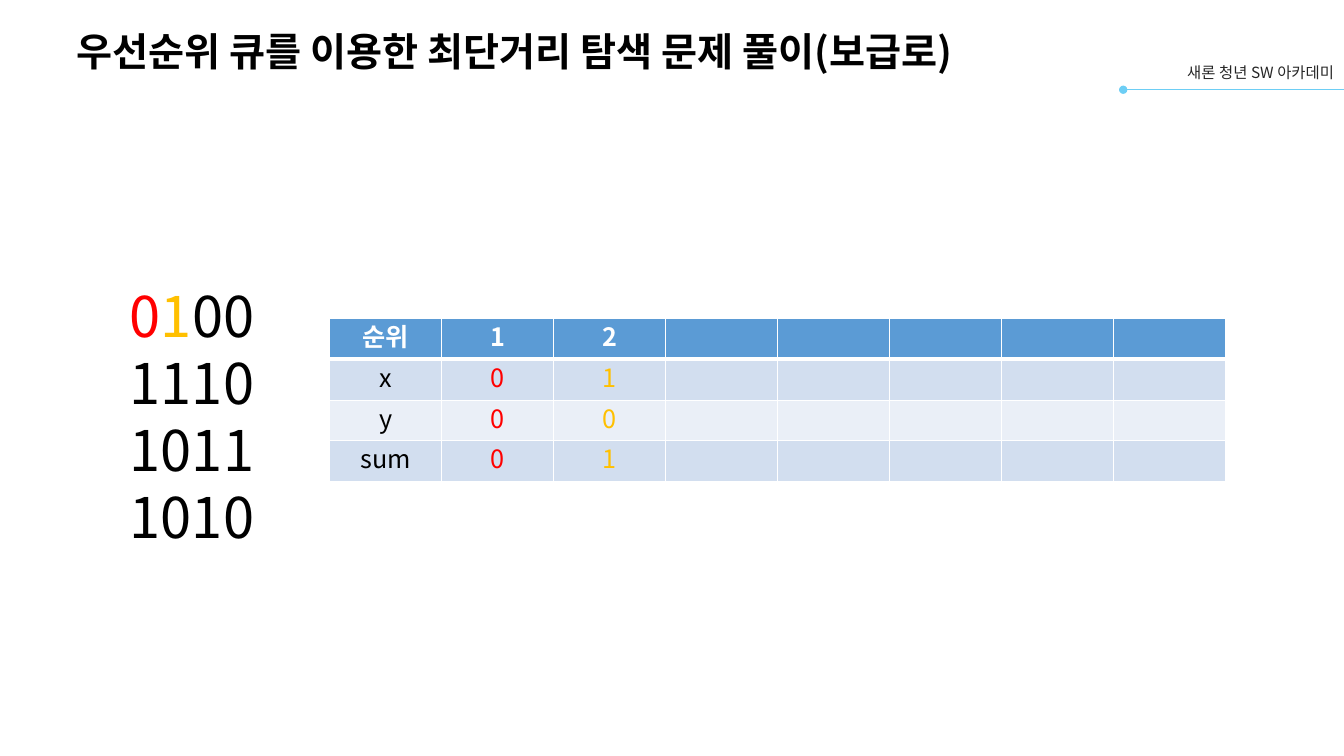
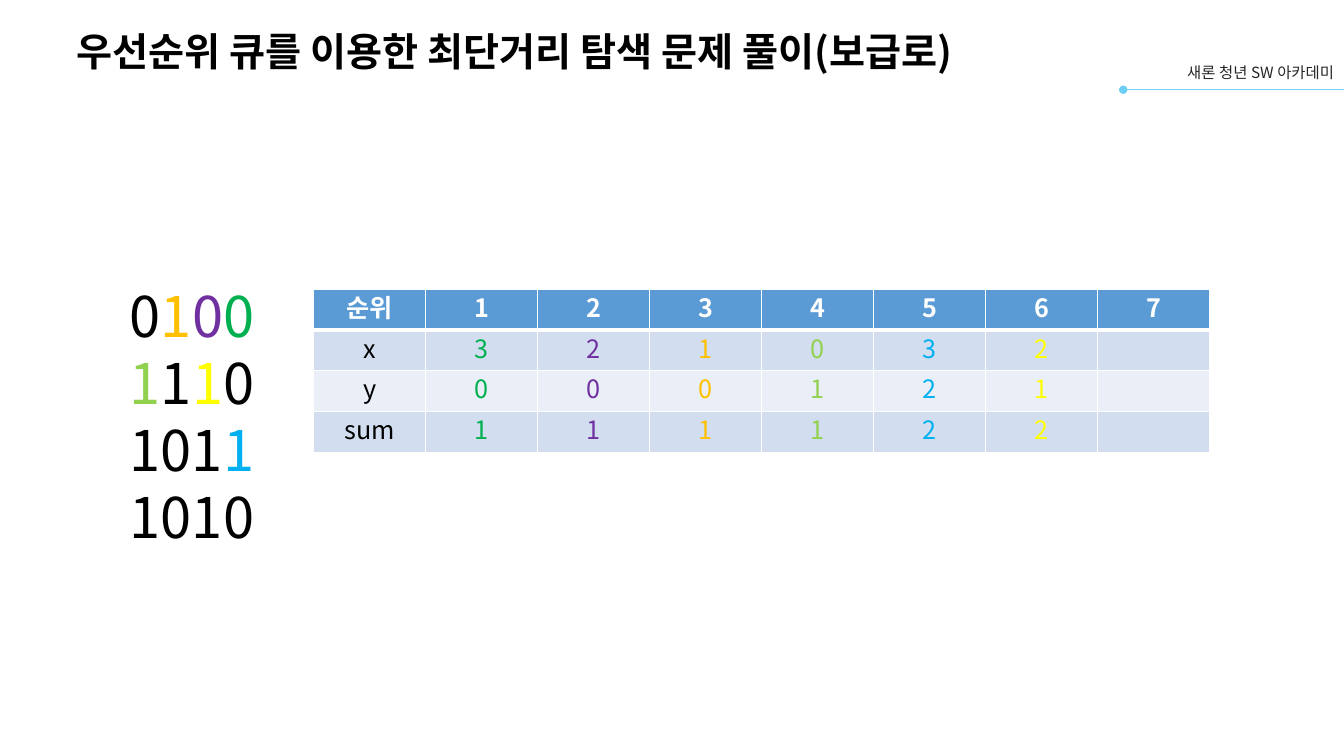
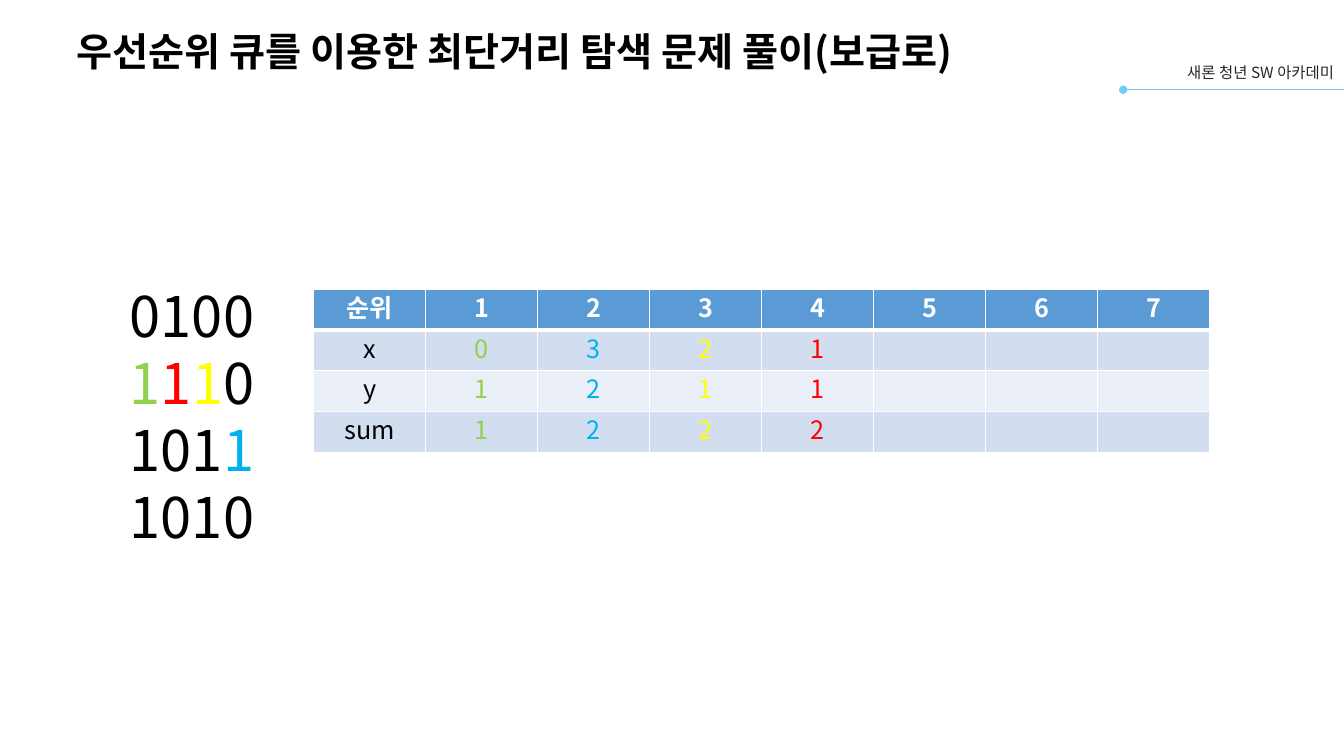
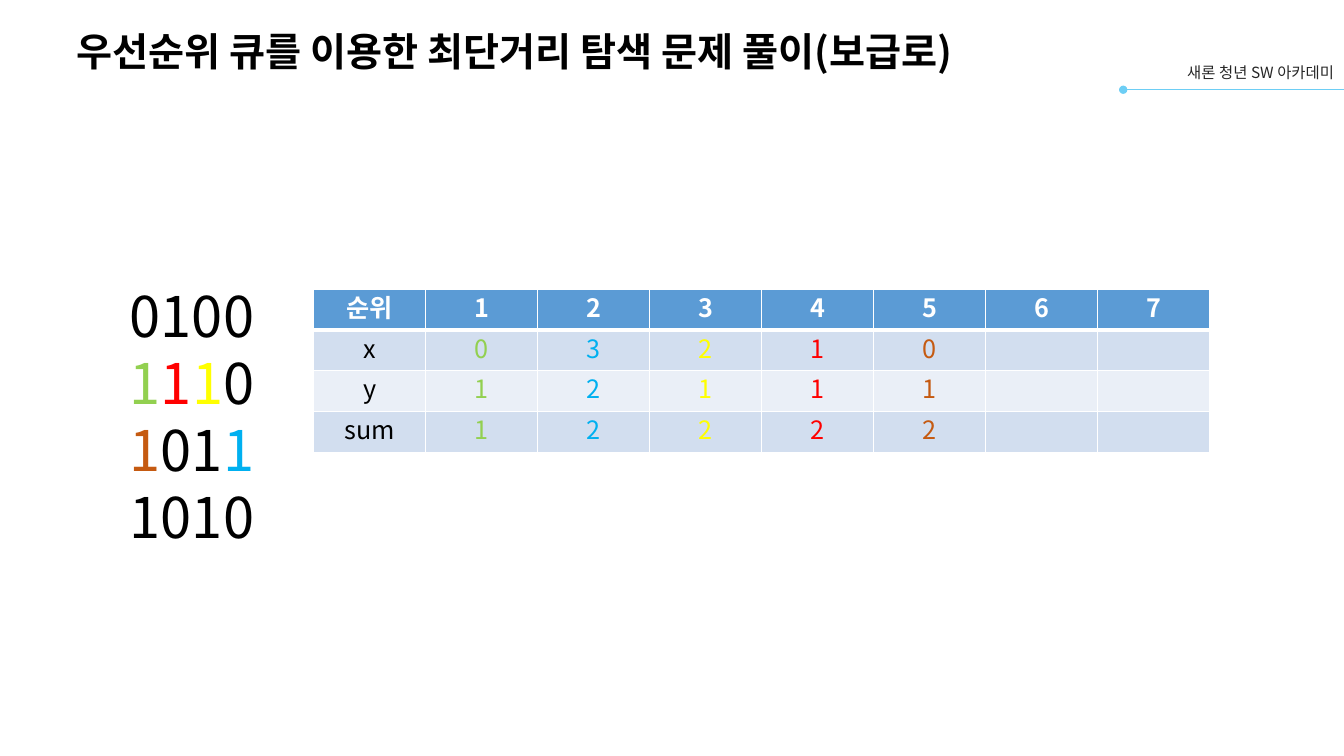
"""Build four slides that trace a priority-queue search for the shortest route."""
from dataclasses import dataclass
from itertools import groupby

from lxml.etree import SubElement
from pptx import Presentation
from pptx.dml.color import RGBColor
from pptx.enum.shapes import MSO_CONNECTOR as Connector
from pptx.enum.text import MSO_ANCHOR as Anchor, MSO_AUTO_SIZE as AutoSize, PP_ALIGN as Align
from pptx.oxml import parse_xml
from pptx.oxml.ns import nsdecls, qn
from pptx.util import Inches, Pt

WIDTH, HEIGHT = Inches(13.33), Inches(7.5)
FONT = "Noto Sans CJK KR"
TITLE = "우선순위 큐를 이용한 최단거리 탐색 문제 풀이(보급로)"
ACADEMY = "새론 청년 SW 아카데미"
ROUTE_MAP = ("0100", "1110", "1011", "1010")
ROW_LABELS = ("순위", "x", "y", "sum")
COLUMNS = 8

BLACK = RGBColor(0x00, 0x00, 0x00)
WHITE = RGBColor(0xFF, 0xFF, 0xFF)
CHARCOAL = RGBColor(0x26, 0x26, 0x26)
SKY = RGBColor(0x6D, 0xCE, 0xF5)
HEADER_FILL = RGBColor(0x5B, 0x9B, 0xD5)
BAND_FILLS = (RGBColor(0xEA, 0xEF, 0xF7), RGBColor(0xD2, 0xDE, 0xEF))
RED = RGBColor(0xFF, 0x00, 0x00)
ORANGE = RGBColor(0xFF, 0xC0, 0x00)
PURPLE = RGBColor(0x70, 0x30, 0xA0)
GREEN = RGBColor(0x00, 0xB0, 0x50)
LIME = RGBColor(0x92, 0xD0, 0x50)
BLUE = RGBColor(0x00, 0xB0, 0xF0)
YELLOW = RGBColor(0xFF, 0xFF, 0x00)
BROWN = RGBColor(0xC5, 0x5A, 0x11)


@dataclass(frozen=True)
class Box:
    """A place on the slide, in percent of its width and height."""
    left: float
    top: float
    width: float
    height: float

    def lengths(self) -> tuple[int, int, int, int]:
        """Return left, top, width and height in EMU."""
        return (int(WIDTH * self.left / 100), int(HEIGHT * self.top / 100),
                int(WIDTH * self.width / 100), int(HEIGHT * self.height / 100))


@dataclass(frozen=True)
class Entry:
    """One queued cell: its coordinates, cost so far and colour."""
    x: int
    y: int
    total: int
    colour: RGBColor


@dataclass(frozen=True)
class Step:
    """One slide: queue, coloured map cells by (row, column), ranks shown and table place."""
    queue: tuple[Entry, ...]
    marks: dict[tuple[int, int], RGBColor]
    ranks: int
    table_box: Box


TITLE_BOX = Box(4.95, 1.87, 86.27, 9.6)
ACADEMY_BOX = Box(83.5, 7.73, 16.5, 3.87)
RULE_BOX = Box(83.57, 11.87, 16.5, 0)
MAP_BOX = Box(8.93, 36.53, 11.63, 37.2)
FIRST_TABLE_BOX = Box(24.53, 42.13, 66.69, 21.6)
TABLE_BOX = Box(23.33, 38.27, 66.69, 21.6)

LIME_ENTRY = Entry(0, 1, 1, LIME)
BLUE_ENTRY = Entry(3, 2, 2, BLUE)
YELLOW_ENTRY = Entry(2, 1, 2, YELLOW)
LATE_QUEUE = (LIME_ENTRY, BLUE_ENTRY, YELLOW_ENTRY, Entry(1, 1, 2, RED))
LATE_MARKS = {(1, 0): LIME, (1, 1): RED, (1, 2): YELLOW, (2, 3): BLUE}

STEPS = (
    Step((Entry(0, 0, 0, RED), Entry(1, 0, 1, ORANGE)),
         {(0, 0): RED, (0, 1): ORANGE}, 2, FIRST_TABLE_BOX),
    Step((Entry(3, 0, 1, GREEN), Entry(2, 0, 1, PURPLE), Entry(1, 0, 1, ORANGE),
          LIME_ENTRY, BLUE_ENTRY, YELLOW_ENTRY),
         {(0, 1): ORANGE, (0, 2): PURPLE, (0, 3): GREEN,
          (1, 0): LIME, (1, 2): YELLOW, (2, 3): BLUE}, 7, TABLE_BOX),
    Step(LATE_QUEUE, LATE_MARKS, 7, TABLE_BOX),
    Step((*LATE_QUEUE, Entry(0, 1, 2, BROWN)), {**LATE_MARKS, (2, 0): BROWN}, 7, TABLE_BOX),
)


def style_run(run, size: float, colour: RGBColor, bold: bool = False) -> None:
    """Set the font of a run for Latin and Korean text."""
    run.font.size = Pt(size)
    run.font.bold = bold
    run.font.color.rgb = colour
    run.font.name = FONT
    SubElement(run._r.get_or_add_rPr(), qn("a:ea"), typeface=FONT)


def write_line(paragraph, text: str, size: float, colour: RGBColor, align: Align,
               bold: bool = False) -> None:
    """Fill a paragraph with text of one style."""
    paragraph.text = text
    paragraph.alignment = align
    for run in paragraph.runs:
        style_run(run, size, colour, bold)


def draw_title(slide) -> None:
    """Place and format the title placeholder."""
    title = slide.shapes.title
    title.left, title.top, title.width, title.height = TITLE_BOX.lengths()
    title.text_frame.vertical_anchor = Anchor.MIDDLE
    write_line(title.text_frame.paragraphs[0], TITLE, 28, BLACK, Align.LEFT, bold=True)


def draw_academy(slide) -> None:
    """Draw the academy name above its dotted rule."""
    left, top, width, _ = RULE_BOX.lengths()
    rule = slide.shapes.add_connector(Connector.STRAIGHT, left, top, left + width, top)
    rule.line.color.rgb = SKY
    rule.line.width = Pt(1)
    SubElement(rule.line._get_or_add_ln(), qn("a:headEnd"), type="oval")
    SubElement(rule.element.spPr, qn("a:effectLst"))
    label = slide.shapes.add_textbox(*ACADEMY_BOX.lengths())
    label.text_frame.word_wrap = True
    write_line(label.text_frame.paragraphs[0], ACADEMY, 11, CHARCOAL, Align.RIGHT)


def draw_map(slide, marks: dict[tuple[int, int], RGBColor]) -> None:
    """Write the route map with the marked cells in colour."""
    text_frame = slide.shapes.add_textbox(*MAP_BOX.lengths()).text_frame
    text_frame.word_wrap = True
    text_frame.auto_size = AutoSize.SHAPE_TO_FIT_TEXT
    for row, digits in enumerate(ROUTE_MAP):
        paragraph = text_frame.paragraphs[0] if row == 0 else text_frame.add_paragraph()
        paragraph.line_spacing = Pt(48)
        cells = [(digit, marks.get((row, column), BLACK)) for column, digit in enumerate(digits)]
        for colour, group in groupby(cells, key=lambda cell: cell[1]):
            run = paragraph.add_run()
            run.text = "".join(digit for digit, _ in group)
            style_run(run, 40, colour)


def set_borders(cell, top: float, bottom: float) -> None:
    """Give a cell white borders, with the widths of its top and bottom in points."""
    properties = cell._tc.get_or_add_tcPr()
    for index, (side, width) in enumerate((("L", 1), ("R", 1), ("T", top), ("B", bottom))):
        properties.insert(index, parse_xml(
            f'<a:ln{side} {nsdecls("a")} w="{Pt(width)}"><a:solidFill>'
            f'<a:srgbClr val="{WHITE}"/></a:solidFill></a:ln{side}>'))


def draw_queue(slide, step: Step) -> None:
    """Draw the queue as a table with one column for each rank."""
    left, top, width, height = step.table_box.lengths()
    rows = len(ROW_LABELS)
    table = slide.shapes.add_table(rows, COLUMNS, left, top, width, height).table
    columns = [tuple((label, BLACK) for label in ROW_LABELS)]
    for rank in range(1, COLUMNS):
        heading = str(rank) if rank <= step.ranks else ""
        values = [("", BLACK)] * (rows - 1)
        if rank <= len(step.queue):
            entry = step.queue[rank - 1]
            values = [(str(value), entry.colour) for value in (entry.x, entry.y, entry.total)]
        columns.append(((heading, WHITE), *values))
    for column, contents in enumerate(columns):
        for row, (text, colour) in enumerate(contents):
            cell = table.cell(row, column)
            header = row == 0
            cell.fill.solid()
            cell.fill.fore_color.rgb = HEADER_FILL if header else BAND_FILLS[row % 2]
            set_borders(cell, top=3 if row == 1 else 1, bottom=3 if header else 1)
            if text:
                paragraph = cell.text_frame.paragraphs[0]
                paragraph.line_spacing = Pt(21.6)
                write_line(paragraph, text, 18, WHITE if header else colour, Align.CENTER, header)


def main() -> None:
    """Build and save the presentation."""
    presentation = Presentation()
    presentation.slide_width, presentation.slide_height = WIDTH, HEIGHT
    title_only = presentation.slide_layouts[5]
    for step in STEPS:
        slide = presentation.slides.add_slide(title_only)
        draw_academy(slide)
        draw_title(slide)
        draw_map(slide, step.marks)
        draw_queue(slide, step)
    presentation.save("out.pptx")


if __name__ == "__main__":
    main()
